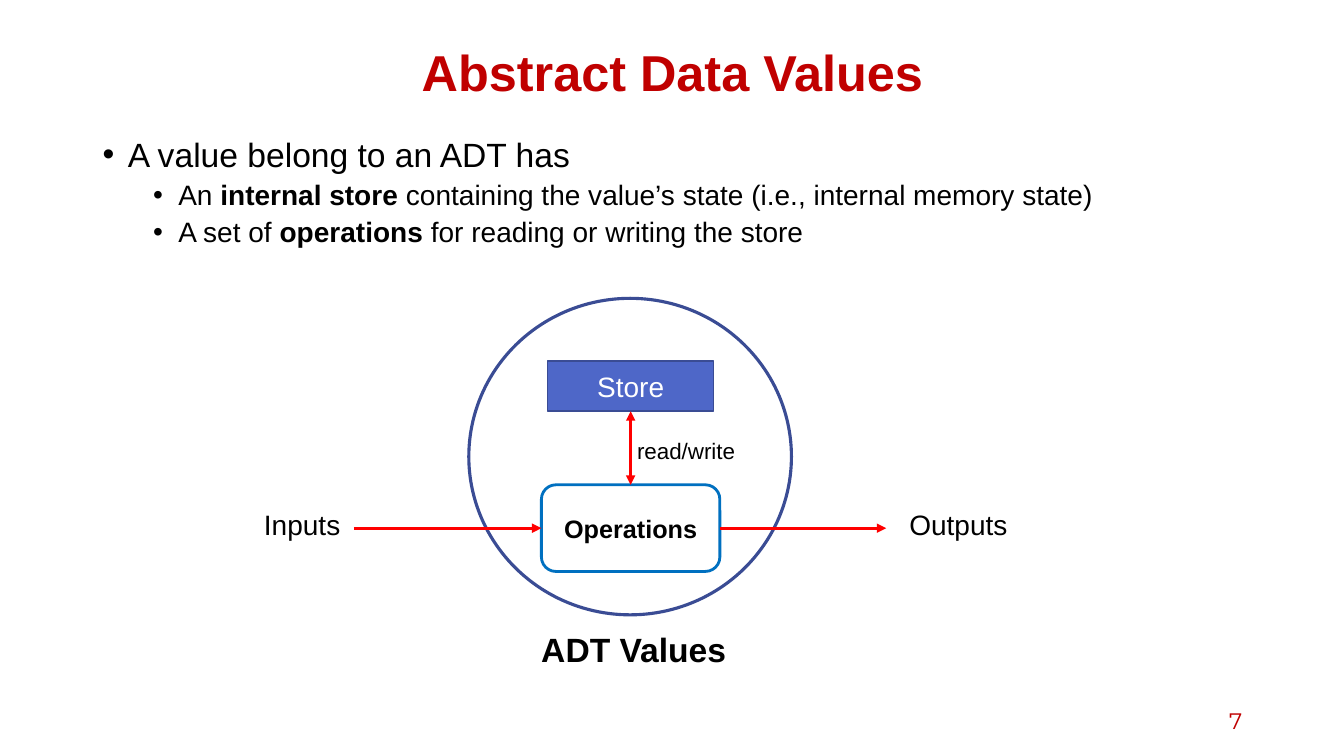
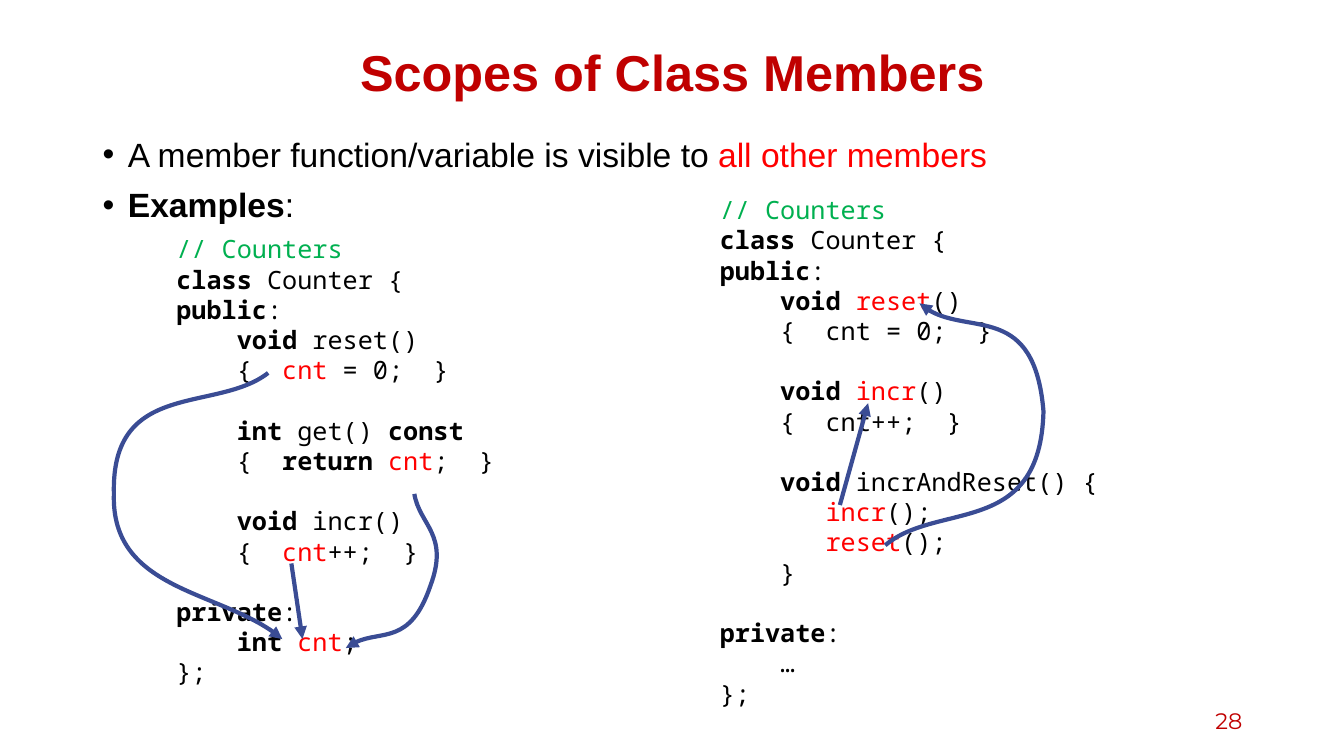
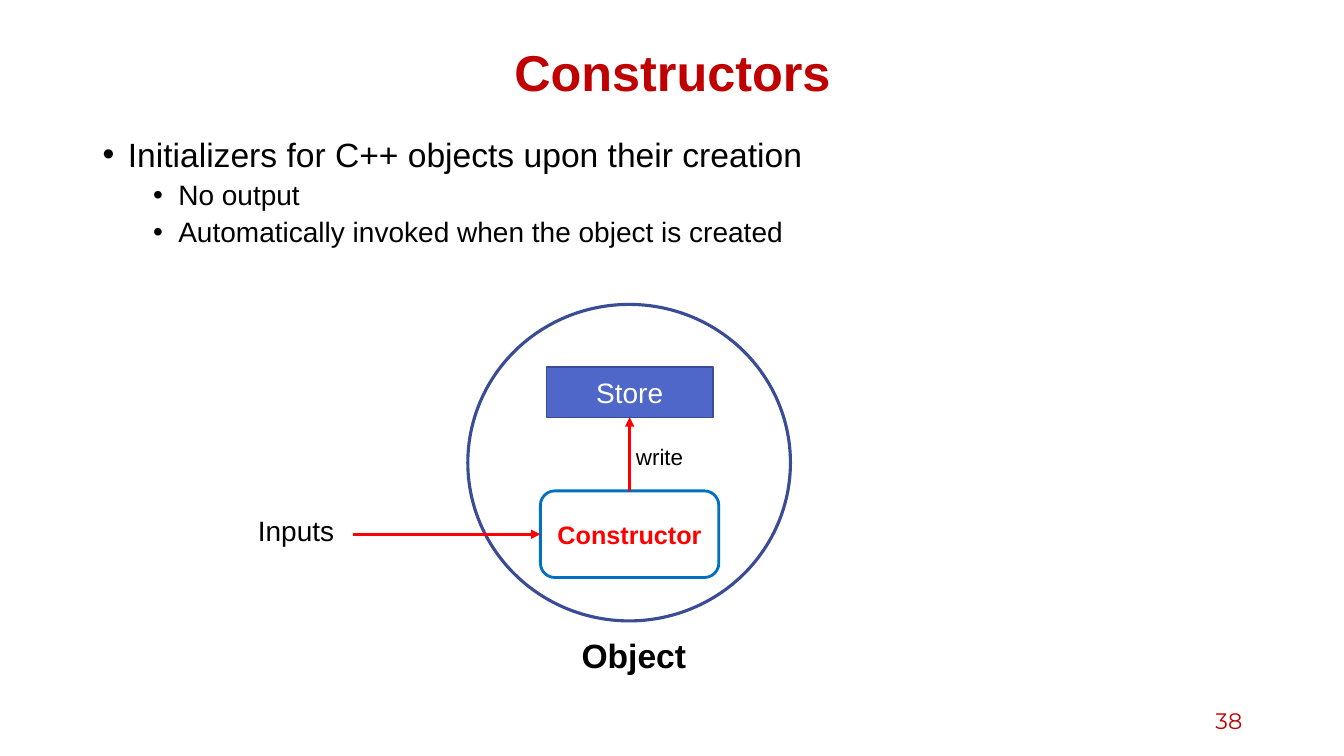
from lxml import etree
from pptx import Presentation
from pptx.dml.color import RGBColor
from pptx.enum.shapes import MSO_CONNECTOR as CONN, MSO_SHAPE as SHAPE
from pptx.enum.text import MSO_ANCHOR as ANCHOR, PP_ALIGN as ALIGN
from pptx.oxml.ns import qn
from pptx.util import Inches, Pt

BLACK = RGBColor(0x00, 0x00, 0x00)
WHITE = RGBColor(0xFF, 0xFF, 0xFF)
CRIMSON = RGBColor(0xC0, 0x00, 0x00)
RED = RGBColor(0xFF, 0x00, 0x00)
GREEN = RGBColor(0x00, 0xB0, 0x50)
INDIGO = RGBColor(0x4E, 0x67, 0xC8)
NAVY = RGBColor(0x3A, 0x4C, 0x94)
BLUE = RGBColor(0x00, 0x70, 0xC0)

SANS = "Arial"
NUMBER_FONT = "Montserrat"
MONO = "Noto Sans Mono"
CODE_SIZE = 18
CODE_CHAR = 0.15
CODE_GAP = 21.5
MARK_COLORS = {"~": RED, "#": GREEN}

LEFT_CODE = """#// Counters
|*class| Counter {
|*public|:
    |*void| reset()
    {  |~cnt| = 0;  }

    |*int| get() |*const
    {  |*return |~cnt|;  }

    |*void| incr()
    {  |~cnt|++;  }

|*private|:
    |*int |~cnt|;
};"""

RIGHT_CODE = """#// Counters
|*class| Counter {
|*public|:
    |*void |~reset|()
    {  cnt = 0;  }

    |*void |~incr|()
    {  cnt++;  }

    |*void |incrAndReset() {
       |~incr|();
       |~reset|();
    }

|*private|:
    …
};"""


def add_runs(p, marked, size, font=SANS, color=BLACK, bold=False):
    for part in filter(None, marked.split("|")):
        mark = part[0] if part[0] in "*~#" else ""
        r = p.add_run()
        r.text = part[len(mark):]
        r.font.name = font
        r.font.size = Pt(size)
        r.font.bold = bold or mark == "*"
        r.font.color.rgb = MARK_COLORS.get(mark, color)


def add_box(s, x, y, w, h, anchor=ANCHOR.TOP):
    tf = s.shapes.add_textbox(Inches(x), Inches(y), Inches(w), Inches(h)).text_frame
    tf.word_wrap = True
    tf.vertical_anchor = anchor
    return tf


def add_label(s, x, y, w, h, text, size, bold=False):
    add_runs(add_box(s, x, y, w, h).paragraphs[0], text, size, bold=bold)


def next_paragraph(tf, first):
    return tf.paragraphs[0] if first else tf.add_paragraph()


def set_indent(p, left, hanging=0):
    pPr = p._p.get_or_add_pPr()
    pPr.set("marL", str(Inches(left)))
    pPr.set("indent", str(Inches(-hanging)))
    return pPr


def add_bullets(s, items):
    tf = add_box(s, 0.92, 1.32, 11.5, 5.51)
    for i, (level, text) in enumerate(items):
        p = next_paragraph(tf, i == 0)
        p.level = level
        p.line_spacing = 0.9
        p.space_before = Pt((10, 5)[level])
        pPr = set_indent(p, 0.25 + 0.5 * level, 0.25)
        etree.SubElement(pPr, qn("a:buFont"), typeface=SANS)
        etree.SubElement(pPr, qn("a:buChar"), char="•")
        add_runs(p, text, (24, 20)[level])


def add_code(s, x, y, h, code):
    tf = add_box(s, x, y, 4.11, h)
    gap = 0
    for i, line in enumerate(code.split("\n")):
        if not line:
            gap = CODE_GAP
            continue
        p = next_paragraph(tf, i == 0)
        text = line.lstrip()
        p.space_before = Pt(gap)
        set_indent(p, CODE_CHAR * (len(line) - len(text)))
        add_runs(p, text, CODE_SIZE, MONO)
        gap = 0


def add_slide(prs, title, number, bullets):
    s = prs.slides.add_slide(prs.slide_layouts[6])
    p = add_box(s, 0.92, 0.4, 11.5, 0.7, ANCHOR.MIDDLE).paragraphs[0]
    p.alignment = ALIGN.CENTER
    p.line_spacing = 0.9
    add_runs(p, title, 36, color=CRIMSON, bold=True)
    add_bullets(s, bullets)
    p = add_box(s, 9.42, 6.95, 3, 0.4, ANCHOR.MIDDLE).paragraphs[0]
    p.alignment = ALIGN.RIGHT
    add_runs(p, number, 16, NUMBER_FONT, CRIMSON)
    return s


def style_line(line, color, width):
    line.color.rgb = color
    line.width = Pt(width)


def add_arrowheads(line, both=False):
    ln = line._get_or_add_ln()
    for end in ("a:headEnd", "a:tailEnd")[0 if both else 1:]:
        etree.SubElement(ln, qn(end), type="triangle")


def add_shape(s, kind, x, y, w, h, line, width, fill=None):
    sp = s.shapes.add_shape(kind, Inches(x), Inches(y), Inches(w), Inches(h))
    sp.shadow.inherit = False
    style_line(sp.line, line, width)
    if fill is None:
        sp.fill.background()
    else:
        sp.fill.solid()
        sp.fill.fore_color.rgb = fill
    return sp


def add_shape_text(sp, text, size, color, bold=False):
    tf = sp.text_frame
    tf.word_wrap = True
    tf.vertical_anchor = ANCHOR.MIDDLE
    p = tf.paragraphs[0]
    p.alignment = ALIGN.CENTER
    add_runs(p, text, size, color=color, bold=bold)


def add_arrow(s, start, end, color=RED, width=2.25, both=False):
    points = [Inches(v) for v in (*start, *end)]
    c = s.shapes.add_connector(CONN.STRAIGHT, *points)
    style_line(c.line, color, width)
    add_arrowheads(c.line, both)
    etree.SubElement(c.element.spPr, qn("a:effectLst"))
    return c


def add_curved_arrow(s, *points):
    start, *rest = [(Inches(x), Inches(y)) for x, y in points]
    fb = s.shapes.build_freeform(*start)
    fb.add_line_segments(rest, close=False)
    sp = fb.convert_to_shape()
    segments = list(sp.element.iter(qn("a:lnTo")))
    for i in range(0, len(segments), 3):
        curve = etree.Element(qn("a:cubicBezTo"))
        segments[i].addprevious(curve)
        for segment in segments[i:i + 3]:
            curve.append(segment[0])
            segment.getparent().remove(segment)
    sp.shadow.inherit = False
    sp.fill.background()
    style_line(sp.line, NAVY, 3)
    add_arrowheads(sp.line)


def add_adt_diagram(s, cx, top, inputs_x, action, both, box_text, box_color, caption):
    store_y, box_y = top + 0.62, top + 1.85
    mid_y = box_y + 0.43
    box_left, box_right = cx - 0.88, cx + 0.89
    store = add_shape(s, SHAPE.RECTANGLE, cx - 0.82, store_y, 1.65, 0.5, NAVY, 1, INDIGO)
    add_shape_text(store, "Store", 20, WHITE)
    add_shape(s, SHAPE.OVAL, cx - 1.6, top, 3.2, 3.14, NAVY, 2.25)
    box = add_shape(s, SHAPE.ROUNDED_RECTANGLE, box_left, box_y, 1.77, 0.86, BLUE, 2)
    add_shape_text(box, box_text, 18, box_color, True)
    add_arrow(s, (cx - 2.74, mid_y), (box_left, mid_y)).end_connect(box, 1)
    c = add_arrow(s, (cx, box_y), (cx, store_y + 0.5), both=both)
    c.begin_connect(box, 0)
    c.end_connect(store, 2)
    add_label(s, inputs_x, top + 2.03, 1.07, 0.44, "Inputs", 20)
    add_label(s, cx - 0.03, top + 1.33, 1.63, 0.37, action, 16)
    caption_text, caption_x, caption_w = caption
    add_label(s, caption_x, top + 3.23, caption_w, 0.5, caption_text, 24, True)
    return box, box_right, mid_y


def build_values_slide(prs):
    s = add_slide(prs, "Abstract Data Values", "7", [
        (0, "A value belong to an ADT has"),
        (1, "An|* internal store |containing the value’s state (i.e., internal memory state)"),
        (1, "A set of |*operations |for reading or writing the store"),
    ])
    box, right, mid_y = add_adt_diagram(
        s, 6.25, 2.96, 2.52, "read/write", True,
        "Operations", BLACK, ("ADT Values", 5.27, 2.14))
    add_arrow(s, (right, mid_y), (8.79, mid_y)).begin_connect(box, 3)
    add_label(s, 8.92, 4.99, 1.32, 0.44, "Outputs", 20)


def build_scopes_slide(prs):
    s = add_slide(prs, "Scopes of Class Members", "28", [
        (0, "A member function/variable is visible to |~all other members"),
        (0, "*Examples|:"),
    ])
    add_code(s, 1.65, 2.27, 4.64, LEFT_CODE)
    add_code(s, 7.04, 1.88, 5.25, RIGHT_CODE)
    add_curved_arrow(s, (2.66, 3.7), (2.15, 4.1), (1.1, 3.76), (1.13, 4.9),
                     (1.1, 5.84), (2.24, 5.86), (2.8, 6.34))
    add_curved_arrow(s, (4.11, 4.9), (4.16, 5.21), (4.46, 5.3), (4.27, 5.81),
                     (4.07, 6.4), (3.71, 6.22), (3.43, 6.43))
    add_arrow(s, (2.89, 5.59), (3, 6.34), NAVY, 3)
    add_curved_arrow(s, (8.78, 5.41), (9.3, 4.97), (10.32, 5.34), (10.35, 4.08),
                     (10.26, 3.01), (9.53, 3.37), (9.12, 3.01))
    add_arrow(s, (8.33, 5.01), (8.61, 4), NAVY, 3)


def build_constructors_slide(prs):
    s = add_slide(prs, "Constructors", "38", [
        (0, "Initializers for C++ objects upon their creation"),
        (1, "No output"),
        (1, "Automatically invoked when the object is created"),
    ])
    add_adt_diagram(s, 6.24, 3.02, 2.46, "write", False,
                    "Constructor", RED, ("Object", 5.67, 1.3))


def main():
    prs = Presentation()
    prs.slide_width = Inches(13.33)
    prs.slide_height = Inches(7.5)
    build_values_slide(prs)
    build_scopes_slide(prs)
    build_constructors_slide(prs)
    prs.save("out.pptx")


if __name__ == "__main__":
    main()
